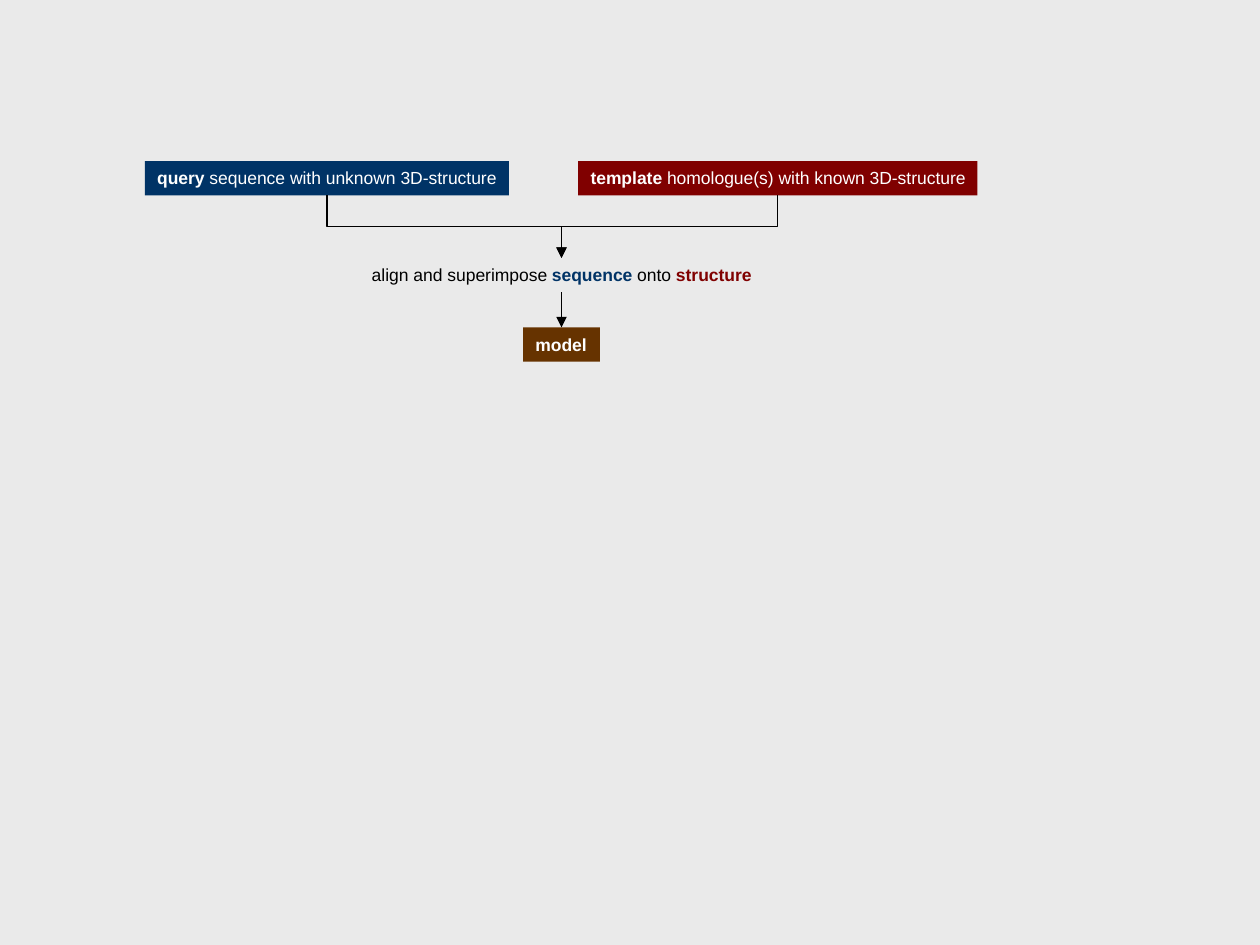
from pptx import Presentation
from pptx.dml.color import RGBColor
from pptx.enum.shapes import MSO_CONNECTOR, MSO_SHAPE
from pptx.enum.text import MSO_ANCHOR, MSO_AUTO_SIZE, PP_ALIGN
from pptx.oxml.ns import qn
from pptx.util import Cm, Pt
from lxml import etree

RECTANGLE = MSO_SHAPE.RECTANGLE
STRAIGHT, ELBOW = MSO_CONNECTOR.STRAIGHT, MSO_CONNECTOR.ELBOW
FIXED_SIZE = MSO_AUTO_SIZE.NONE
TOP, LEFT = MSO_ANCHOR.TOP, PP_ALIGN.LEFT

COLORS = {
    "background": "EAEAEA",
    "query": "003366",
    "template": "800000",
    "model": "663300",
    "white": "FFFFFF",
    "black": "000000",
}
FONT, FONT_SIZE = "Arial", Pt(10)
BOX_HEIGHT = 0.69

# Steps: centre x, top, width (cm), fill, runs of (text, color, bold)
STEPS = {
    "query": (6.59, 3.25, 7.34, "query", [
        ("query", "white", True),
        (" sequence with unknown 3D-structure", "white", False)]),
    "template": (15.68, 3.25, 8.05, "template", [
        ("template", "white", True),
        (" homologue(s) with known 3D-structure", "white", False)]),
    "align": (11.32, 5.2, 8.15, None, [
        ("align and superimpose ", "black", False),
        ("sequence", "query", True),
        (" onto ", "black", False),
        ("structure", "template", True)]),
    "model": (11.32, 6.6, 1.55, "model", [("model", "white", True)]),
}
ARROWS = [("align", "model"), ("query", "align"), ("template", "align")]


def rgb(name):
    return RGBColor.from_string(COLORS[name])


def add_step(slide, center, top, width, fill, runs):
    bounds = Cm(center - width / 2), Cm(top), Cm(width), Cm(BOX_HEIGHT)
    if fill:
        shape = slide.shapes.add_shape(RECTANGLE, *bounds)
        shape.shadow.inherit = False
        shape.fill.solid()
        shape.fill.fore_color.rgb = rgb(fill)
        shape.line.fill.background()
    else:
        shape = slide.shapes.add_textbox(*bounds)
    frame = shape.text_frame
    frame.word_wrap = True
    frame.auto_size = FIXED_SIZE
    frame.vertical_anchor = TOP
    # A narrow right margin keeps each text on one line
    frame.margin_right = 0
    paragraph = frame.paragraphs[0]
    paragraph.alignment = LEFT
    for text, color, bold in runs:
        run = paragraph.add_run()
        run.text = text
        run.font.name, run.font.size, run.font.bold = FONT, FONT_SIZE, bold
        run.font.color.rgb = rgb(color)


def add_arrow(slide, source, target):
    start_x, start_y = STEPS[source][0], STEPS[source][1] + BOX_HEIGHT
    end_x, end_y = STEPS[target][:2]
    if start_x == end_x:
        connector = slide.shapes.add_connector(
            STRAIGHT, Cm(start_x), Cm(start_y), Cm(end_x), Cm(end_y))
    else:
        # An elbow that leaves downwards is a sideways one turned by 90 degrees
        middle_x, middle_y = (start_x + end_x) / 2, (start_y + end_y) / 2
        half_width, half_height = (end_y - start_y) / 2, abs(end_x - start_x) / 2
        to_right = end_x > start_x
        if to_right:
            half_width = -half_width
        connector = slide.shapes.add_connector(
            ELBOW, Cm(middle_x - half_width), Cm(middle_y - half_height),
            Cm(middle_x + half_width), Cm(middle_y + half_height))
        transform = connector._element.spPr.find(qn("a:xfrm"))
        transform.set("rot", str((270 if to_right else 90) * 60000))
    connector.line.color.rgb = rgb("black")
    connector.line.width = Pt(0.75)
    line = connector.line._get_or_add_ln()
    etree.SubElement(line, qn("a:tailEnd"), type="triangle")
    etree.SubElement(connector._element.spPr, qn("a:effectLst"))


def main():
    presentation = Presentation()
    presentation.slide_width, presentation.slide_height = Cm(25.4), Cm(19.05)
    slide = presentation.slides.add_slide(presentation.slide_layouts[6])
    slide.background.fill.solid()
    slide.background.fill.fore_color.rgb = rgb("background")

    # Boxes and the text between them
    for step in STEPS.values():
        add_step(slide, *step)

    # Flow arrows
    for source, target in ARROWS:
        add_arrow(slide, source, target)

    presentation.save("out.pptx")


if __name__ == "__main__":
    main()
